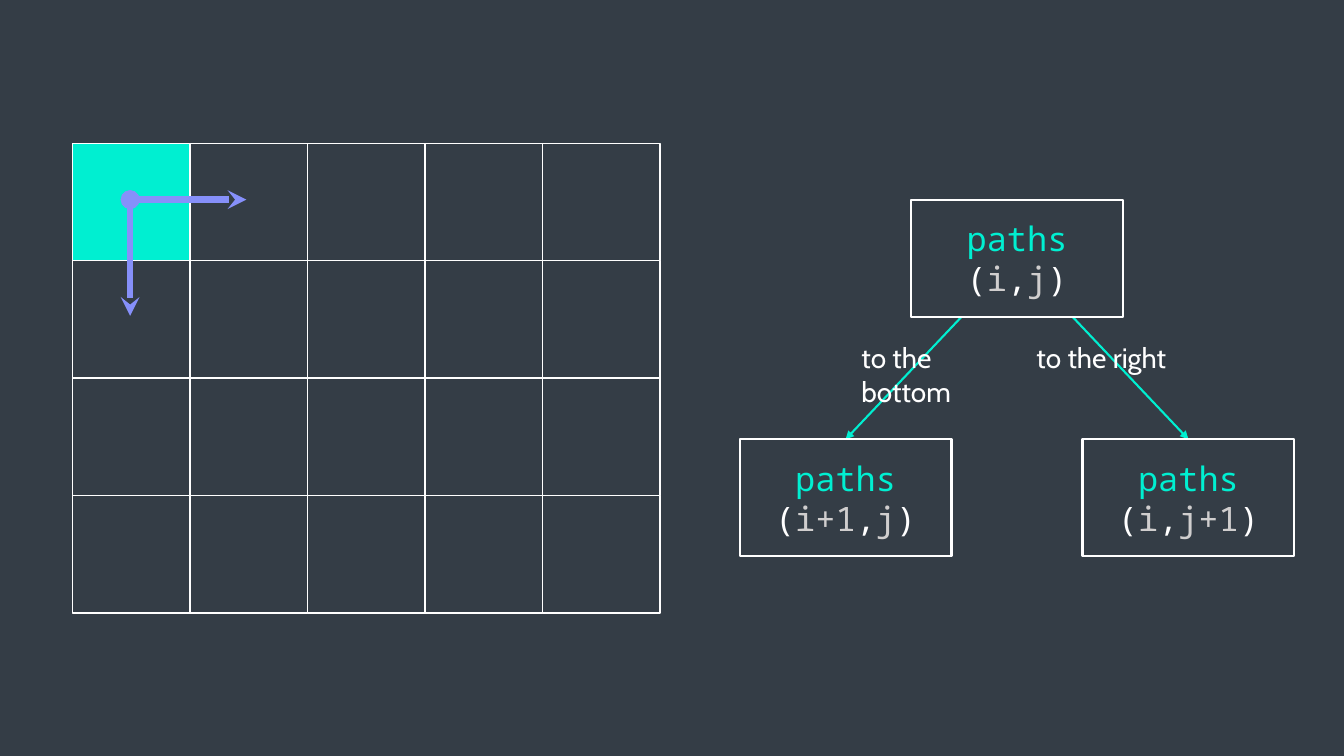
from dataclasses import dataclass
from itertools import product

from lxml.etree import SubElement
from pptx import Presentation
from pptx.dml.color import RGBColor as RGB
from pptx.enum.shapes import MSO_CONNECTOR as CONN, MSO_SHAPE as SHAPE
from pptx.enum.text import MSO_ANCHOR as ANCHOR, PP_ALIGN as ALIGN
from pptx.oxml.ns import qn
from pptx.util import Cm, Pt


@dataclass(frozen=True)
class Theme:
    back: RGB = RGB(0x34, 0x3D, 0x46)
    accent: RGB = RGB(0x00, 0xEF, 0xD1)
    move: RGB = RGB(0x86, 0x90, 0xFA)
    white: RGB = RGB(0xFF, 0xFF, 0xFF)
    index: RGB = RGB(0xD0, 0xCE, 0xCE)
    code_font: str = "Noto Sans Mono"
    label_font: str = "Cabin"
    code_size: float = 24
    label_size: float = 20
    grid_line: float = 1
    tree_line: float = 1.5
    move_line: float = 4.5


@dataclass(frozen=True)
class Call:
    """A box of the recursion tree, placed by its top left corner."""
    x: float
    y: float
    row: str
    col: str


@dataclass(frozen=True)
class Label:
    x: float
    text: str
    align: ALIGN


THEME = Theme()

# Grid and moves, in cm
ROWS, COLS, CELL = 4, 5, 2.96
GRID_X, GRID_Y = 1.83, 3.61
START_X, START_Y, STEP = 3.28, 5.03, 2.93

# Recursion tree, in cm
BOX_W, BOX_H = 5.34, 2.95
CHILD_Y = 11.07
ROOT = Call(22.96, 5.03, "i", "j")
CHILDREN = [Call(18.64, CHILD_Y, "i+1", "j"), Call(27.28, CHILD_Y, "i", "j+1")]
LABEL_Y, LABEL_W, LABEL_H = 8.46, 4.01, 1.96
LABELS = [
    Label(21.46, "to the bottom", ALIGN.LEFT),
    Label(25.63, "to the right", ALIGN.RIGHT),
]


def add_run(p, text: str, font: str, size: float, color: RGB) -> None:
    r = p.add_run()
    r.text = text
    r.font.name, r.font.size = font, Pt(size)
    r.font.color.rgb = color


def add_box(s, x: float, y: float, w: float, h: float, line: float, fill: RGB | None = None):
    sp = s.shapes.add_shape(SHAPE.RECTANGLE, Cm(x), Cm(y), Cm(w), Cm(h))
    sp.shadow.inherit = False
    if fill is None:
        sp.fill.background()
    else:
        sp.fill.solid()
        sp.fill.fore_color.rgb = fill
    sp.line.color.rgb = THEME.white
    sp.line.width = Pt(line)
    return sp


def add_arrow(s, x1: float, y1: float, x2: float, y2: float,
              color: RGB, width: float, **ends: str):
    c = s.shapes.add_connector(CONN.STRAIGHT, Cm(x1), Cm(y1), Cm(x2), Cm(y2))
    c.line.color.rgb = color
    c.line.width = Pt(width)
    ln = c.line._get_or_add_ln()
    for tag, kind in ends.items():
        SubElement(ln, qn(f"a:{tag}"), type=kind)
    SubElement(c._element.spPr, qn("a:effectLst"))
    return c


def add_call(s, call: Call):
    sp = add_box(s, call.x, call.y, BOX_W, BOX_H, THEME.tree_line, THEME.back)
    tf = sp.text_frame
    tf.word_wrap = True
    tf.vertical_anchor = ANCHOR.MIDDLE
    tf.margin_left = tf.margin_top = tf.margin_right = tf.margin_bottom = 0
    lines = [
        [("paths", THEME.accent)],
        [("(", THEME.white), (call.row, THEME.index), (",", THEME.white),
         (call.col, THEME.index), (")", THEME.white)],
    ]
    for i, runs in enumerate(lines):
        p = tf.add_paragraph() if i else tf.paragraphs[0]
        p.alignment = ALIGN.CENTER
        for text, color in runs:
            add_run(p, text, THEME.code_font, THEME.code_size, color)
    return sp


def add_label(s, label: Label) -> None:
    sp = s.shapes.add_textbox(Cm(label.x), Cm(LABEL_Y), Cm(LABEL_W), Cm(LABEL_H))
    tf = sp.text_frame
    tf.word_wrap = True
    p = tf.paragraphs[0]
    p.alignment = label.align
    add_run(p, label.text, THEME.label_font, THEME.label_size, THEME.white)


def main() -> None:
    prs = Presentation()
    prs.slide_width, prs.slide_height = Cm(33.87), Cm(19.05)
    s = prs.slides.add_slide(prs.slide_layouts[6])
    s.background.fill.solid()
    s.background.fill.fore_color.rgb = THEME.back

    # Tree branches, behind the boxes
    root_x, root_y = ROOT.x + BOX_W / 2, ROOT.y + BOX_H / 2
    branches = [
        add_arrow(s, root_x, root_y, child.x + BOX_W / 2, child.y,
                  THEME.accent, THEME.tree_line, tailEnd="triangle")
        for child in CHILDREN
    ]

    # Grid with the start cell filled
    for col, row in product(range(COLS), range(ROWS)):
        fill = THEME.accent if col == row == 0 else None
        add_box(s, GRID_X + col * CELL, GRID_Y + row * CELL, CELL, CELL,
                THEME.grid_line, fill)

    # Possible moves from the start cell
    for dx, dy in [(STEP, 0), (0, STEP)]:
        add_arrow(s, START_X, START_Y, START_X + dx, START_Y + dy,
                  THEME.move, THEME.move_line, headEnd="oval", tailEnd="stealth")

    # Tree boxes and branch labels
    for branch, child in zip(branches, CHILDREN):
        branch.end_connect(add_call(s, child), 0)
    add_call(s, ROOT)
    for label in LABELS:
        add_label(s, label)

    prs.save("out.pptx")


if __name__ == "__main__":
    main()
